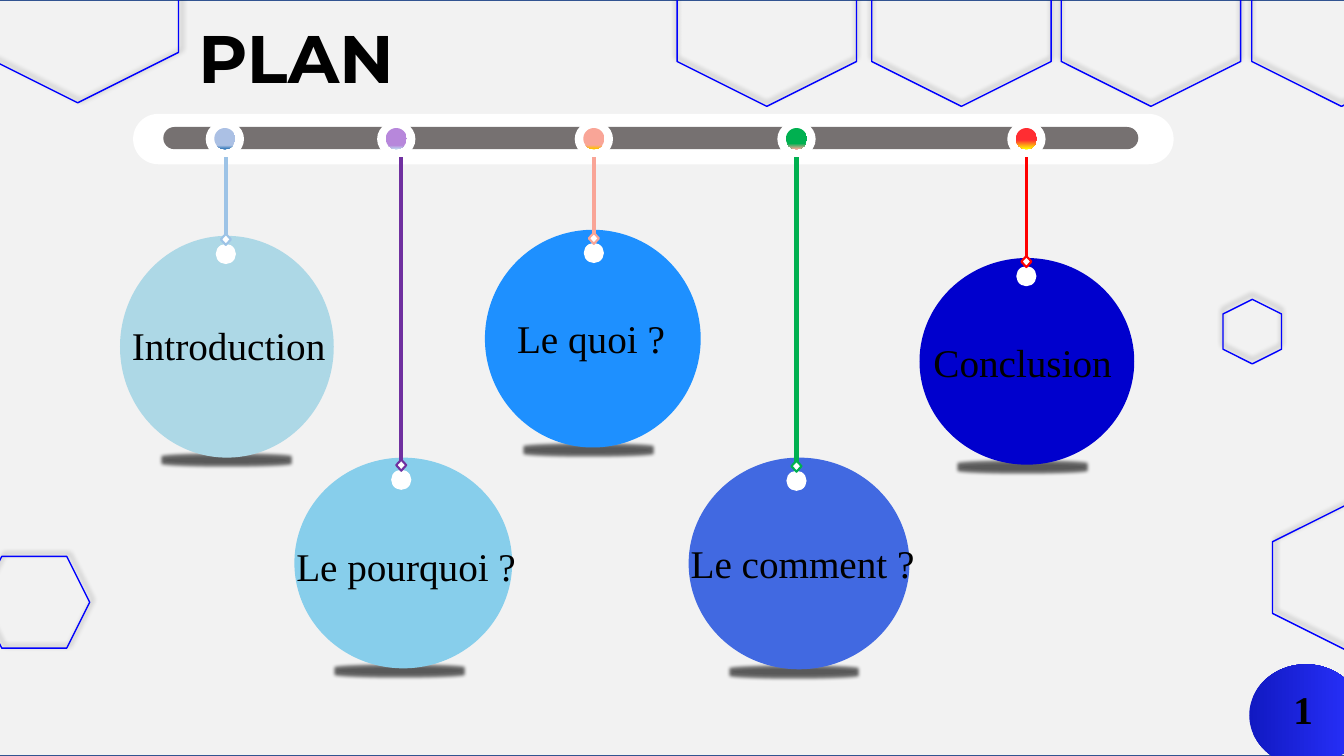
from lxml import etree
from pptx import Presentation
from pptx.dml.color import RGBColor
from pptx.enum.shapes import MSO_CONNECTOR, MSO_SHAPE
from pptx.enum.text import MSO_AUTO_SIZE, PP_ALIGN
from pptx.oxml.ns import qn
from pptx.util import Inches, Pt

# Content
HEX = {
    "page": "F2F2F2", "edge": "325491", "cell": "0000FF", "white": "FFFFFF",
    "rail": "767171", "shade": "595959", "black": "000000",
    "badge": "1119C2", "badge end": "2932FF",
    "pale": "ADD8E6", "sky": "87CEEB", "royal": "4169E1",
    "azure": "1E90FF", "navy": "0000CD",
    "mist": "9DC3E6", "plum": "7030A0", "green": "00B050",
    "peach": "F9A597", "red": "FF0000",
    "dot blue": "ABC0E4", "steel": "2E75B6", "lilac": "B787DB",
    "ice": "BDD7EE", "gold": "FFC000", "coral": "FF2D32", "yellow": "FFFF00",
}
TITLE, NUMBER = "PLAN", "1"
# left, top, width, height, turn, shadow direction
CELLS = [
    (12.62, 5.02, 1.42, 1.42, 90, 315),
    (12.1, 3, 0.64, 0.58, 90, 270),
    (-0.21, 5.52, 1.1, 0.91, 0, 315),
    (-0.23, -0.98, 2, 2, 90, 315),
] + [(x, -1.07, 2.47, 1.78, 90, 270) for x in (6.37, 8.3, 10.18, 12.07)]
STEPS = [
    dict(text="Introduction", label=(1.21, 3.14, 2.48), ball=(1.19, 2.34, 2.12, 2.2),
         fill="pale", line="mist", dot=("dot blue", 82, "steel", 100),
         ring=2.23, pin=2.24, hole=2.42, shade=1.64),
    dict(text="Le pourquoi ?", label=(2.84, 5.33, 2.48), ball=(2.92, 4.54, 2.16, 2.09),
         fill="sky", line="plum", dot=("lilac", 82, "ice", 100),
         ring=3.93, pin=3.98, hole=4.66, shade=3.36),
    dict(text="Le comment ?", label=(6.72, 5.3, 2.48), ball=(6.83, 4.54, 2.19, 2.1),
         fill="royal", line="green", dot=("green", 73, "peach", 100),
         ring=7.9, pin=7.9, hole=4.67, shade=7.27, align=PP_ALIGN.CENTER),
    dict(text="Le quoi ?", label=(5.03, 3.07, 2.48), ball=(4.81, 2.28, 2.14, 2.16),
         fill="azure", line="peach", dot=("peach", 81, "gold", 98),
         ring=5.89, pin=5.89, hole=2.41, shade=5.23),
    dict(text="Conclusion", label=(9.16, 3.31, 2.23), ball=(9.12, 2.56, 2.13, 2.05),
         fill="navy", line="red", dot=("coral", 57, "yellow", 100),
         ring=10.18, pin=10.18, hole=2.64, shade=9.54, weight=2.25),
]

deck = Presentation()
deck.slide_width, deck.slide_height = Inches(13.33), Inches(7.5)
slide = deck.slides.add_slide(deck.slide_layouts[6])


def rgb(name):
    return RGBColor.from_string(HEX[name])


def shape(kind, box, fill=None, line=None, weight=1.0, home=slide.shapes):
    item = home.add_shape(kind, *[Inches(v) for v in box])
    item.shadow.inherit = False
    if fill:
        item.fill.solid()
        item.fill.fore_color.rgb = rgb(fill)
    else:
        item.fill.background()
    if line:
        item.line.color.rgb = rgb(line)
        item.line.width = Pt(weight)
    else:
        item.line.fill.background()
    return item


def disc(x, y, wide, high, fill, home=slide.shapes):
    """Ellipse centred on x with its top at y."""
    return shape(MSO_SHAPE.OVAL, (x - wide / 2, y, wide, high), fill, home=home)


def blend(item, first, start, last, end, angle):
    item.fill.gradient()
    item.fill.gradient_angle = angle
    for stop, name, place in zip(item.fill.gradient_stops, (first, last), (start, end)):
        stop.color.rgb = rgb(name)
        stop.position = place / 100


def effect(item, tag, alpha, **attrs):
    group = item._element.spPr.find(qn("a:effectLst"))
    node = etree.SubElement(group, qn(tag), {k: str(v) for k, v in attrs.items()})
    tint = etree.SubElement(node, qn("a:srgbClr"), val=HEX["black"])
    etree.SubElement(tint, qn("a:alpha"), val=str(alpha * 1000))


def write(text, box, size=28, font="Times New Roman", bold=False, align=PP_ALIGN.LEFT):
    frame = slide.shapes.add_textbox(*[Inches(v) for v in box]).text_frame
    frame.word_wrap = True
    frame.auto_size = MSO_AUTO_SIZE.SHAPE_TO_FIT_TEXT
    para = frame.paragraphs[0]
    para.alignment = align
    run = para.add_run()
    run.text = text
    run.font.size, run.font.name, run.font.bold = Pt(size), font, bold
    run.font.color.rgb = rgb("black")


# Page and title
shape(MSO_SHAPE.RECTANGLE, (-0.25, 0, 13.59, 7.5), "page", "edge")
write(TITLE, (1.87, 0.11, 2.89, 0.91), size=48, font="Montserrat", bold=True)

# Honeycomb
for *box, turn, way in CELLS:
    cell = shape(MSO_SHAPE.HEXAGON, box, line="cell")
    cell.rotation = turn
    effect(cell, "a:outerShdw", 40, blurRad=Pt(4), dist=Pt(3), dir=way * 60000)

# Rail
for box, fill in (((1.32, 1.13, 10.32, 0.5), "white"), ((1.62, 1.26, 9.67, 0.22), "rail")):
    shape(MSO_SHAPE.ROUNDED_RECTANGLE, box, fill).adjustments[0] = 0.5

# Page number
badge = disc(12.95, 6.59, 1.12, 1.01, "badge")
blend(badge, "badge", 0, "badge end", 100, 0)
write(NUMBER, (12.73, 6.75, 0.96, 0.57), bold=True)

# Shades under the balls
for step in STEPS:
    left, top, wide, high = step["ball"]
    shade = shape(MSO_SHAPE.OVAL, (step["shade"], top + high, 1.21, 0.05), "shade")
    effect(shade, "a:glow", 60, rad=Pt(5))

# Hanging balls
for step in STEPS:
    ring, pin, hole, line = (step[k] for k in ("ring", "pin", "hole", "line"))
    home = slide.shapes.add_group_shape().shapes
    shape(MSO_SHAPE.OVAL, step["ball"], step["fill"], home=home)
    disc(ring, 1.2, 0.38, 0.36, "white", home)
    blend(disc(ring, 1.27, 0.21, 0.21, "white", home), *step["dot"], 270)
    disc(pin, hole, 0.2, 0.2, "white", home)
    cord = home.add_connector(MSO_CONNECTOR.STRAIGHT, Inches(pin), Inches(1.56),
                              Inches(pin), Inches(hole - 0.07))
    cord.line.color.rgb = rgb(line)
    cord.line.width = Pt(step.get("weight", 3))
    etree.SubElement(cord._element.spPr, qn("a:effectLst"))
    shape(MSO_SHAPE.DIAMOND, (pin - 0.05, hole - 0.1, 0.1, 0.11), "white", line, 1.5, home)
    write(step["text"], (*step["label"], 0.57), align=step.get("align", PP_ALIGN.LEFT))

deck.save("out.pptx")
